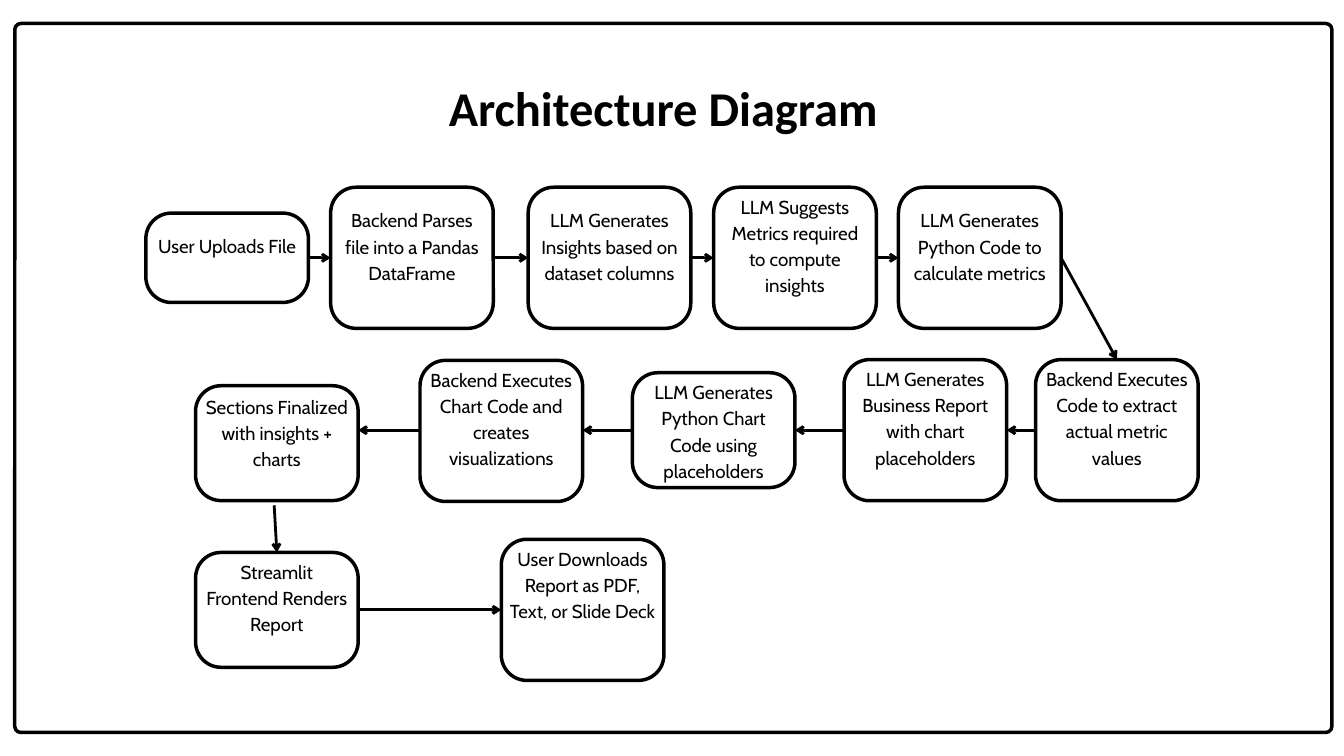
from dataclasses import dataclass

from lxml import etree
from pptx import Presentation
from pptx.dml.color import RGBColor
from pptx.enum.shapes import MSO_CONNECTOR, MSO_SHAPE
from pptx.enum.text import PP_ALIGN
from pptx.oxml.ns import qn
from pptx.util import Inches, Pt

ROUNDED = MSO_SHAPE.ROUNDED_RECTANGLE
STRAIGHT = MSO_CONNECTOR.STRAIGHT
CENTER = PP_ALIGN.CENTER

SLIDE_W, SLIDE_H = Inches(20), Inches(11.25)
BLACK, WHITE = "000000", "FFFFFF"

# All positions are percentages of the slide's width or height
STEP_W = 12.1
SHORT, MEDIUM, TALL = 11.82, 15.2, 18.67
ROW_1, ROW_2, ROW_3 = 34.1, 56.9, 80.67
INSET, TEXT_W = 0.62, 10.85
HIGH, LOW = 0.6, 2.4  # gap between a box's top edge and its text


@dataclass
class Step:
    text: str
    left: float
    middle: float
    height: float
    gap: float = HIGH

    @property
    def right(self) -> float:
        return self.left + STEP_W

    @property
    def top(self) -> float:
        return self.middle - self.height / 2


UPPER = [
    Step("User Uploads File", 10.85, ROW_1, SHORT, LOW),
    Step("Backend Parses file into a Pandas DataFrame", 24.6, ROW_1, TALL, LOW),
    Step("LLM Generates Insights based on dataset columns", 39.3, ROW_1, TALL, LOW),
    Step("LLM Suggests Metrics required to compute insights", 53.1, ROW_1, TALL),
    Step("LLM Generates Python Code to calculate metrics", 66.85, ROW_1, TALL, LOW),
]
# The middle row runs from right to left
MIDDLE = [
    Step("Backend Executes Code to extract actual metric values", 77.05, ROW_2, TALL),
    Step("LLM Generates Business Report with chart placeholders", 62.8, ROW_2, TALL),
    Step("LLM Generates Python Chart Code using placeholders", 47.05, ROW_2, MEDIUM),
    Step("Backend Executes Chart Code and creates visualizations", 31.25, 57, TALL),
    Step("Sections Finalized with insights + charts", 14.55, 58.62, MEDIUM, 0.8),
]
LOWER = [
    Step("Streamlit Frontend Renders Report", 14.55, ROW_3, MEDIUM),
    Step("User Downloads Report as PDF, Text, or Slide Deck", 37.3, ROW_3, TALL),
]


def x(percent: float) -> int:
    return round(SLIDE_W * percent / 100)


def y(percent: float) -> int:
    return round(SLIDE_H * percent / 100)


def color(value: str) -> RGBColor:
    return RGBColor.from_string(value)


def add_box(s, left: float, top: float, width: float, height: float,
            radius: float) -> None:
    """Outlined rounded box; the radius is in inches."""
    box = s.shapes.add_shape(ROUNDED, x(left), y(top), x(width), y(height))
    box.adjustments[0] = Inches(radius) / min(box.width, box.height)
    box.shadow.inherit = False
    box.fill.solid()
    box.fill.fore_color.rgb = color(WHITE)
    box.line.color.rgb = color(BLACK)
    box.line.width = Pt(3.75)


def add_text(s, text: str, left: float, top: float, width: float, height: float,
             font: str, size: float, bold: bool = False) -> None:
    tf = s.shapes.add_textbox(x(left), y(top), x(width), y(height)).text_frame
    tf.word_wrap = True
    tf.margin_left = tf.margin_right = tf.margin_top = tf.margin_bottom = 0
    p = tf.paragraphs[0]
    p.text = text
    p.alignment = CENTER
    p.line_spacing = Pt(round(size * 1.4, 1))
    p.font.name = font
    p.font.size = Pt(size)
    p.font.bold = bold
    p.font.color.rgb = color(BLACK)


def add_step(s, step: Step) -> None:
    add_box(s, step.left, step.top, STEP_W, step.height, 0.38)
    add_text(s, step.text, step.left + INSET, step.top + step.gap,
             TEXT_W, step.height - 2 * step.gap, "Cabin", 20.1)


def add_arrow(s, x1: float, y1: float, x2: float, y2: float) -> None:
    arrow = s.shapes.add_connector(STRAIGHT, x(x1), y(y1), x(x2), y(y2))
    arrow.line.color.rgb = color(BLACK)
    arrow.line.width = Pt(3)
    etree.SubElement(arrow.line._get_or_add_ln(), qn("a:tailEnd"), type="arrow")
    etree.SubElement(arrow._element.spPr, qn("a:effectLst"))


def main() -> None:
    prs = Presentation()
    prs.slide_width, prs.slide_height = SLIDE_W, SLIDE_H
    s = prs.slides.add_slide(prs.slide_layouts[6])

    # Frame and title
    add_box(s, 1.1, 3.11, 98, 93.78, 0.09)
    add_text(s, "Architecture Diagram", 28.3, 9.07, 42.1, 8.62, "Calibri", 52, True)

    # Steps
    for step in UPPER + MIDDLE + LOWER:
        add_step(s, step)

    # Arrows along each row
    for row, level in ((UPPER, ROW_1), (MIDDLE, ROW_2), (LOWER, ROW_3)):
        for a, b in zip(row, row[1:]):
            if a.left < b.left:
                add_arrow(s, a.right, level, b.left, level)
            else:
                add_arrow(s, a.left, level, b.right, level)

    # Arrows from one row to the next
    add_arrow(s, UPPER[-1].right, ROW_1, 83.1, MIDDLE[0].top)
    add_arrow(s, 20.4, 66.84, 20.6, LOWER[0].top)

    prs.save("out.pptx")


if __name__ == "__main__":
    main()
